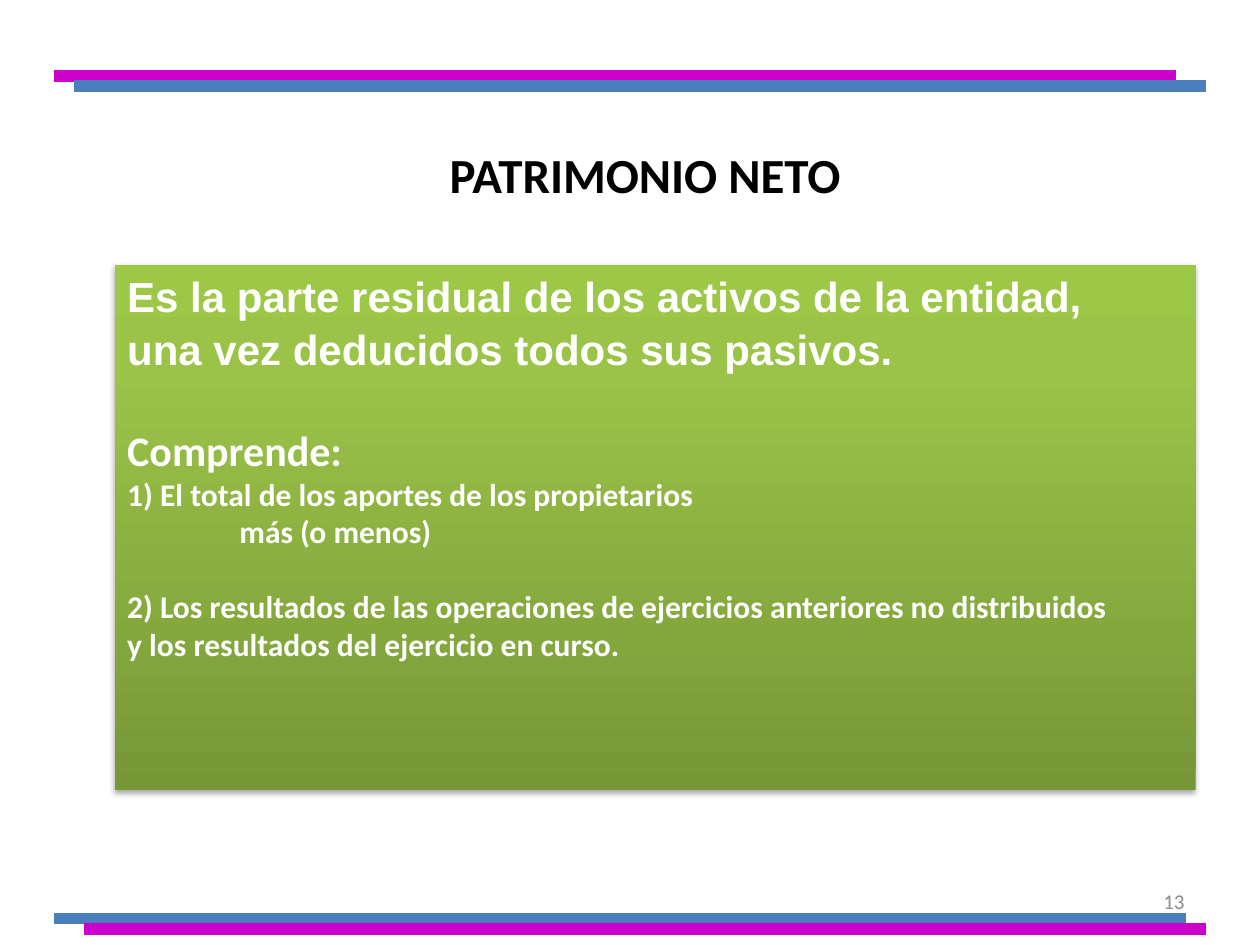
from dataclasses import dataclass

from lxml.etree import SubElement
from pptx import Presentation
from pptx.dml.color import RGBColor
from pptx.enum.shapes import MSO_CONNECTOR
from pptx.enum.text import MSO_ANCHOR, MSO_AUTO_SIZE, PP_ALIGN
from pptx.oxml import parse_xml
from pptx.oxml.ns import nsdecls, qn
from pptx.util import Inches, Pt


@dataclass(frozen=True)
class Theme:
    # Colours
    magenta: str = "CC00CC"
    blue: str = "4B7EBC"
    ink: str = "000000"
    panel_text: str = "FFFFFF"
    muted: str = "8C8C8C"
    panel_stops: tuple = ((0, "779737"), (80, "9BC348"), (100, "9DC746"))
    # Type
    font: str = "Calibri"
    lead_font: str = "Arial"
    title_size: float = 28
    lead_size: float = 24
    item_size: float = 18
    number_size: float = 12
    # Lines
    rule_width: float = 6.75


class SlideBuilder:
    """Places elements by shares of the slide's width and height."""

    def __init__(self, presentation, theme):
        self.theme = theme
        self.width = presentation.slide_width
        self.height = presentation.slide_height
        self.slide = presentation.slides.add_slide(presentation.slide_layouts[1])

    def box(self, left, top, width, height):
        return (int(left * self.width), int(top * self.height),
                int(width * self.width), int(height * self.height))

    def place(self, shape, area):
        shape.left, shape.top, shape.width, shape.height = self.box(*area)

    def style(self, paragraph, size, color, font=None, bold=False):
        paragraph.font.name = font or self.theme.font
        paragraph.font.size = Pt(size)
        paragraph.font.bold = bold
        paragraph.font.color.rgb = RGBColor.from_string(color)

    def rule(self, start, end, y, color):
        line = self.slide.shapes.add_connector(
            MSO_CONNECTOR.STRAIGHT, int(start * self.width), int(y * self.height),
            int(end * self.width), int(y * self.height))
        line.line.width = Pt(self.theme.rule_width)
        line.line.color.rgb = RGBColor.from_string(color)
        SubElement(line._element.spPr, qn("a:effectLst"))

    def title(self, text, area):
        heading = self.slide.shapes.title
        self.place(heading, area)
        frame = heading.text_frame
        frame.text = text
        frame.vertical_anchor = MSO_ANCHOR.MIDDLE
        frame.paragraphs[0].alignment = PP_ALIGN.CENTER
        self.style(frame.paragraphs[0], self.theme.title_size, self.theme.ink, bold=True)

    def panel(self, lines, area):
        """Fill the body with lines of (text, size, font, space before, indent)."""
        body = self.slide.placeholders[1]
        self.place(body, area)
        self.shade(body)
        frame = body.text_frame
        frame.auto_size = MSO_AUTO_SIZE.NONE
        frame.word_wrap = True
        frame.vertical_anchor = MSO_ANCHOR.TOP
        for index, (text, size, font, before, indent) in enumerate(lines):
            paragraph = frame.add_paragraph() if index else frame.paragraphs[0]
            paragraph.text = text
            paragraph.alignment = PP_ALIGN.LEFT
            paragraph.space_before = Pt(before)
            properties = paragraph._p.get_or_add_pPr()
            properties.set("marL", str(int(indent * self.width)))
            properties.set("indent", "0")
            SubElement(properties, qn("a:buNone"))
            self.style(paragraph, size, self.theme.panel_text, font, bold=True)

    def shade(self, shape):
        """Give a shape the upward gradient and a soft shadow below."""
        stops = "".join(
            f'<a:gs pos="{share * 1000}"><a:srgbClr val="{color}"/></a:gs>'
            for share, color in self.theme.panel_stops)
        properties = shape._element.spPr
        properties.append(parse_xml(
            f'<a:gradFill {nsdecls("a")} rotWithShape="1"><a:gsLst>{stops}</a:gsLst>'
            '<a:lin ang="16200000" scaled="0"/></a:gradFill>'))
        properties.append(parse_xml(
            f'<a:effectLst {nsdecls("a")}><a:outerShdw blurRad="{Pt(3.1)}" '
            f'dist="{Pt(1.8)}" dir="5400000" rotWithShape="0"><a:srgbClr val="000000">'
            '<a:alpha val="35000"/></a:srgbClr></a:outerShdw></a:effectLst>'))

    def page_number(self, text, area):
        frame = self.slide.shapes.add_textbox(*self.box(*area)).text_frame
        frame.word_wrap = True
        frame.vertical_anchor = MSO_ANCHOR.MIDDLE
        frame.text = text
        frame.paragraphs[0].alignment = PP_ALIGN.RIGHT
        self.style(frame.paragraphs[0], self.theme.number_size, self.theme.muted)


def main():
    presentation = Presentation()
    presentation.slide_width, presentation.slide_height = Inches(10), Inches(7.5)
    theme = Theme()
    builder = SlideBuilder(presentation, theme)

    # Page number, beneath the lower rules
    builder.page_number("13", (0.717, 0.927, 0.233, 0.053))

    # Paired rules at the top and bottom
    for start, end, y, color in (
        (0.043, 0.933, 0.08, theme.magenta),
        (0.059, 0.957, 0.0907, theme.blue),
        (0.043, 0.941, 0.972, theme.blue),
        (0.067, 0.957, 0.9827, theme.magenta),
    ):
        builder.rule(start, end, y, color)

    # Definition and components of equity
    lead, item = theme.lead_size, theme.item_size
    builder.panel((
        ("Es la parte residual de los activos de la entidad,", lead, theme.lead_font, 0, 0),
        ("una vez deducidos todos sus pasivos.", lead, theme.lead_font, 1, 0),
        ("Comprende:", lead, theme.font, 29, 0),
        ("1) El total de los aportes de los propietarios", item, theme.font, 0, 0),
        ("más (o menos)", item, theme.font, 0, 0.089),
        ("2) Los resultados de las operaciones de ejercicios anteriores no distribuidos",
         item, theme.font, 21, 0),
        ("y los resultados del ejercicio en curso.", item, theme.font, 0, 0),
    ), (0.091, 0.28, 0.858, 0.556))

    # Title
    builder.title("PATRIMONIO NETO", (0.083, 0.123, 0.858, 0.123))

    presentation.save("out.pptx")


if __name__ == "__main__":
    main()
